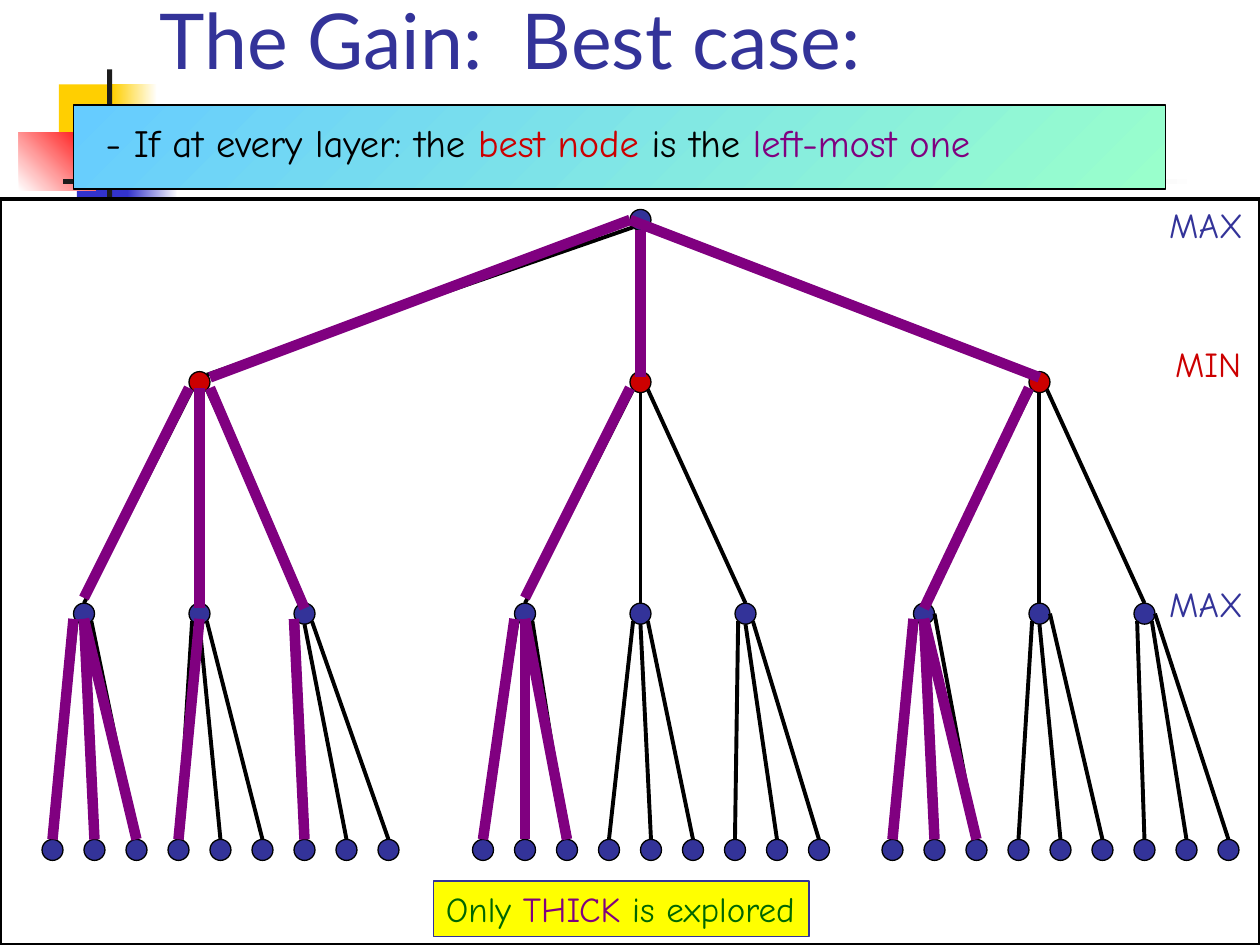
import collections

import pptx
import pptx.dml.color
import pptx.enum.shapes
import pptx.enum.text
import pptx.oxml
import pptx.util
from pptx.util import Cm

RGBColor = pptx.dml.color.RGBColor
SHAPES = pptx.enum.shapes.MSO_SHAPE
ANCHOR = pptx.enum.text.MSO_ANCHOR
ALIGN = pptx.enum.text.PP_ALIGN

BLACK = RGBColor(0x00, 0x00, 0x00)
WHITE = RGBColor(0xFF, 0xFF, 0xFF)
CHARCOAL = RGBColor(0x1C, 0x1C, 0x1C)
NAVY = RGBColor(0x33, 0x33, 0x99)
BLUE = RGBColor(0x33, 0x33, 0xCC)
CRIMSON = RGBColor(0xCC, 0x00, 0x00)
RED = RGBColor(0xFF, 0x00, 0x00)
PURPLE = RGBColor(0x80, 0x00, 0x80)
GREEN = RGBColor(0x00, 0x66, 0x00)
GOLD = RGBColor(0xFF, 0xCF, 0x01)
YELLOW = RGBColor(0xFF, 0xFF, 0x00)
SKY = RGBColor(0x66, 0xCC, 0xFF)
MINT = RGBColor(0x99, 0xFF, 0xCC)

Box = collections.namedtuple("Box", "left top width height")  # in centimetres

TITLE_FONT = {"name": "Lato", "size": pptx.util.Pt(44)}
BANNER_FONT = {"name": "Comic Neue", "size": pptx.util.Pt(22)}
LABEL_FONT = {"name": "Comic Neue", "size": pptx.util.Pt(20)}
FRAME = {
    "margin_left": Cm(0.25), "margin_right": Cm(0.25),
    "margin_top": Cm(0.13), "margin_bottom": Cm(0.13),
    "auto_size": pptx.enum.text.MSO_AUTO_SIZE.NONE,
    "vertical_anchor": ANCHOR.TOP, "word_wrap": False,
}

# The tree lies on a grid of 120 columns, whose step is also the node radius.
COLUMNS = 120
ROOT_X = 61
MIN_XS = (19, 61, 99)
CHILD_OFFSETS = (-11, 0, 10)
FIRST_LEAF_XS = (5, 46, 85)
LEAF_GAP = 4
ROOT_Y, MIN_Y, MAX_Y, LEAF_Y = 2, 17.45, 39.5, 62
EXPLORED = (
    (60, 2, 20, 17), (61, 3, 61, 17), (60, 2, 99, 17),
    (18, 18, 8, 38), (19, 18, 19, 39), (20, 18, 29, 39),
    (60, 18, 50, 38), (98, 18, 88, 39),
) + tuple((start, 40, end, 61) for start, end in (
    (7, 5), (8, 9), (8, 13), (19, 17), (28, 29), (49, 46),
    (50, 50), (50, 54), (87, 85), (88, 89), (88, 93)))


def set_all(target, values):
    for key, value in values.items():
        setattr(target, key, value)


def within(box, left, top, width, height):
    return Box(box.left + left, box.top + top, width, height)


def write(frame, runs, font, **layout):
    """Fill a text frame with one paragraph of (text, colour) runs."""
    set_all(frame, {**FRAME, **layout})
    paragraph = frame.paragraphs[0]
    paragraph.alignment = ALIGN.LEFT
    for text, color in runs:
        run = paragraph.add_run()
        run.text = text
        set_all(run.font, font)
        run.font.color.rgb = color


def add_text(slide, box, runs, font, **layout):
    textbox = slide.shapes.add_textbox(*map(Cm, box))
    write(textbox.text_frame, runs, font, **layout)


def add_filled(slide, box, colors, outline=None, weight=0.75, angle=0,
               preset=SHAPES.RECTANGLE):
    """Add a shape with one colour, or two colours for a gradient."""
    shape = slide.shapes.add_shape(preset, *map(Cm, box))
    shape.shadow.inherit = False
    if len(colors) == 1:
        shape.fill.solid()
        shape.fill.fore_color.rgb = colors[0]
    else:
        shape.fill.gradient()
        shape.fill.gradient_angle = angle
        for stop, color in zip(shape.fill.gradient_stops, colors):
            stop.color.rgb = color
    if outline is None:
        shape.line.fill.background()
    else:
        shape.line.color.rgb = outline
        shape.line.width = pptx.util.Pt(weight)
    return shape


def add_edge(slide, box, ends, color, weight):
    """Draw a straight line between two grid points of the tree."""
    step = box.width / COLUMNS
    x1, y1, x2, y2 = (value * step for value in ends)
    edge = slide.shapes.add_connector(
        pptx.enum.shapes.MSO_CONNECTOR.STRAIGHT,
        Cm(box.left + x1), Cm(box.top + y1), Cm(box.left + x2), Cm(box.top + y2))
    edge.line.color.rgb = color
    edge.line.width = pptx.util.Pt(weight)
    edge._element.spPr.append(pptx.oxml.parse_xml(
        '<a:effectLst xmlns:a="http://schemas.openxmlformats.org/drawingml/2006/main"/>'))


def add_ornament(slide, box):
    for part, colors, angle in (
            ((0.81, 0.3, 1.22, 1.32), (GOLD,), 0),
            ((1.88, 0.3, 0.91, 1.32), (GOLD, WHITE), 0),
            ((1.17, 1.47, 1.17, 1.32), (BLUE,), 0),
            ((2.19, 1.47, 1.02, 1.32), (BLUE, WHITE), 0),
            ((0, 1.27, 1.55, 1.17), (WHITE, RED), 45),
            ((1.78, 0, 0.1, 2.92), (CHARCOAL,), 0),
            ((0.89, 2.21, 22.86, 0.1), (CHARCOAL, WHITE), 0)):
        add_filled(slide, within(box, *part), colors, angle=angle)


def add_title(slide, box):
    title = slide.shapes.title
    set_all(title, {key: Cm(value) for key, value in box._asdict().items()})
    write(title.text_frame, [("The Gain:  Best case:", NAVY)], TITLE_FONT,
          vertical_anchor=ANCHOR.BOTTOM, word_wrap=True)


def tree_layout():
    """Return the nodes as (x, y, colour) and the edges as end points."""
    nodes = [(ROOT_X, ROOT_Y, NAVY)]
    edges = []
    last_x = MIN_XS[-1] + CHILD_OFFSETS[-1]
    for side, min_x, first_leaf in zip((-1, 0, 1), MIN_XS, FIRST_LEAF_XS):
        nodes.append((min_x, MIN_Y, CRIMSON))
        edges.append((ROOT_X + 0.7 * side, ROOT_Y + (0.7 if side else 1),
                      min_x - 0.7 * side, MIN_Y - (0.7 if side else 1)))
        for child, offset in enumerate(CHILD_OFFSETS):
            x = min_x + offset
            nodes.append((x, MAX_Y, NAVY))
            shift = (child - 1) * 0.7
            edges.append((min_x + shift, MIN_Y + (0.7 if shift else 1), x, MAX_Y - 1))
            starts = [(-0.7, 0.7), (0, 1), (0.7, 0.7)]
            if side == 1:
                starts[2] = (1, 0)
            if x == last_x:
                starts[1] = (0.7, 0.7)
            for leaf, (dx, dy) in enumerate(starts):
                leaf_x = first_leaf + LEAF_GAP * (3 * child + leaf)
                nodes.append((leaf_x, LEAF_Y, NAVY))
                edges.append((x + dx, MAX_Y + dy, leaf_x, LEAF_Y - 1))
    return nodes, edges


def add_tree(slide, box):
    add_filled(slide, box, (WHITE,), BLACK, 2.25)
    step = box.width / COLUMNS
    nodes, edges = tree_layout()
    for x, y, color in nodes:
        circle = within(box, (x - 1) * step, (y - 1) * step, 2 * step, 2 * step)
        add_filled(slide, circle, (color,), BLACK, preset=SHAPES.OVAL)
    for ends in edges:
        add_edge(slide, box, ends, BLACK, 2.25)
    for label, color, left, top, width in (("MAX", NAVY, 23.32, -0.03, 1.98),
                                           ("MIN", CRIMSON, 23.44, 2.77, 1.83),
                                           ("MAX", NAVY, 23.32, 7.6, 1.98)):
        add_text(slide, within(box, left, top, width, 1.12), [(label, color)], LABEL_FONT)


def add_banner(slide, box):
    add_filled(slide, box, (SKY, MINT), BLACK, angle=315)
    add_text(slide, within(box, 0.4, 0.14, 21, 1.2),
             [("- If at every layer: the ", BLACK), ("best node", CRIMSON),
              (" is the ", BLACK), ("left-most one", PURPLE)],
             BANNER_FONT, word_wrap=True)


def add_explored_edges(slide, box):
    for ends in EXPLORED:
        add_edge(slide, box, ends, PURPLE, 6)


def add_caption(slide, box):
    caption = add_filled(slide, box, (YELLOW,), NAVY)
    write(caption.text_frame, [("Only ", GREEN), ("THICK", PURPLE),
                               (" is explored", GREEN)], LABEL_FONT)


def main():
    deck = pptx.Presentation()
    set_all(deck, {"slide_width": Cm(25.4), "slide_height": Cm(19.05)})
    slide = deck.slides.add_slide(deck.slide_layouts.get_by_name("Title Only"))
    tree_box = Box(0, 4.01, 25.4, 15.04)
    add_ornament(slide, Box(0.38, 1.4, 23.75, 2.92))
    add_title(slide, Box(2.96, 0.15, 20.12, 1.7))
    add_tree(slide, tree_box)
    add_banner(slide, Box(1.48, 2.12, 22.01, 1.69))
    add_explored_edges(slide, tree_box)
    add_caption(slide, Box(8.74, 17.76, 7.57, 1.12))
    deck.save("out.pptx")


if __name__ == "__main__":
    main()
